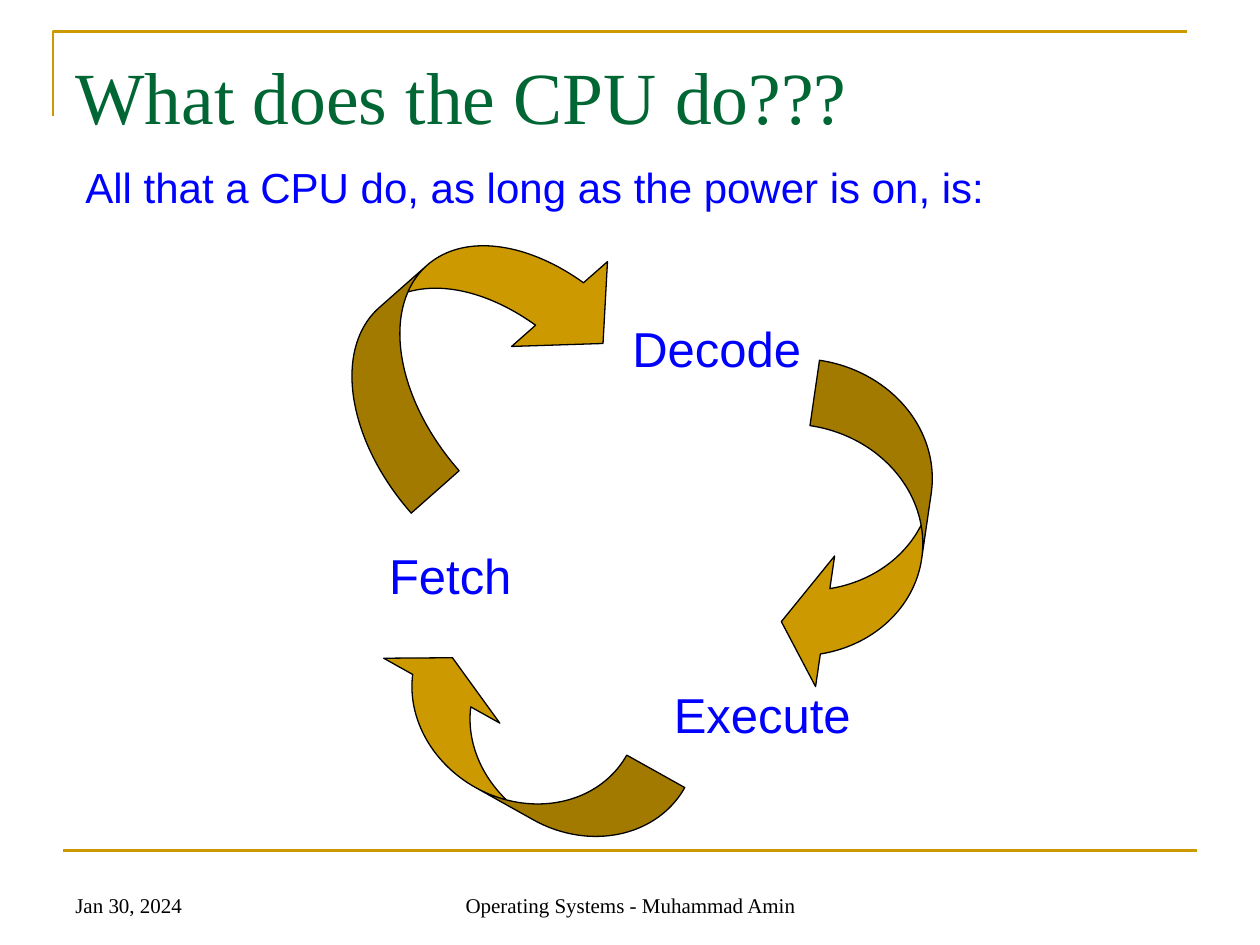
from pptx import Presentation
from pptx.dml.color import RGBColor
from pptx.enum.shapes import MSO_CONNECTOR, MSO_SHAPE
from pptx.enum.text import MSO_ANCHOR, PP_ALIGN
from pptx.oxml.ns import qn
from pptx.util import Inches, Pt
from lxml import etree

LINE = MSO_CONNECTOR.STRAIGHT
ARROW = MSO_SHAPE.CURVED_LEFT_ARROW
TOP, MIDDLE, BOTTOM = MSO_ANCHOR.TOP, MSO_ANCHOR.MIDDLE, MSO_ANCHOR.BOTTOM
LEFT, CENTER = PP_ALIGN.LEFT, PP_ALIGN.CENTER
COLORS = {"gold": "CC9900", "green": "006633", "blue": "0000FF", "black": "000000"}
SERIF, SANS = "Times New Roman", "Arial"


def color(name):
    return RGBColor.from_string(COLORS[name])


def add_text(slide, box, text, size, font, ink, anchor=TOP, align=LEFT, wrap=True):
    frame = slide.shapes.add_textbox(*map(Inches, box)).text_frame
    frame.word_wrap = wrap
    frame.vertical_anchor = anchor
    frame.text = text
    par = frame.paragraphs[0]
    par.alignment = align
    face = par.runs[0].font
    face.name, face.size = font, Pt(size)
    face.color.rgb = color(ink)
    return par


def add_frame(slide, box):
    """Draw the corner above the title and the rule above the footer."""
    x, y, wide, high = box
    pen = slide.shapes.build_freeform(Inches(x), Inches(y + 0.67))
    pen.add_line_segments(
        [(Inches(x), Inches(y)), (Inches(x + wide), Inches(y))], close=False)
    corner = pen.convert_to_shape()
    corner.shadow.inherit = False
    corner.fill.background()
    base = Inches(y + high)
    rule = slide.shapes.add_connector(
        LINE, Inches(x + 0.08), base, Inches(x + 0.08 + wide), base)
    etree.SubElement(rule._element.spPr, qn("a:effectLst"))
    for part in (corner, rule):
        part.line.color.rgb = color("gold")
        part.line.width = Pt(1.5)


def add_header(slide, box):
    x, y, wide, high = box
    add_text(slide, box, "What does the CPU do???", 42, SERIF, "green", MIDDLE)
    intro = add_text(slide, (x + 0.08, y + 1.15, 8.04, 0.9),
                     "All that a CPU do, as long as the power is on, is:",
                     24, SANS, "blue")
    intro.line_spacing = 0.9
    intro.space_before = Pt(15)


def add_arrow(slide, box, turn):
    _, _, wide, high = box
    arrow = slide.shapes.add_shape(ARROW, *map(Inches, box))
    arrow.shadow.inherit = False
    arrow.rotation = turn
    band = high / 5 / wide
    for i, value in enumerate((band, 2 * band, 1 / 3)):
        arrow.adjustments[i] = value
    arrow.fill.solid()
    arrow.fill.fore_color.rgb = color("gold")
    arrow.line.color.rgb = color("black")
    arrow.line.width = Pt(0.75)


def add_cycle(slide, box):
    """Draw the three arrows and steps, placed from the box's corner."""
    x, y, _, _ = box
    arrows = [
        ((0.27, -0.5, 1.39, 2.54), 228.5),
        ((3.52, 0.98, 1.03, 2.62), 8.3),
        ((0.89, 2.7, 0.81, 2.64), 119.2),
    ]
    steps = [
        ("Fetch", 0.2, 2.34, 1.17),
        ("Execute", 2.46, 3.44, 1.6),
        ("Decode", 2.13, 0.54, 1.54),
    ]
    for (dx, dy, wide, high), turn in arrows:
        add_arrow(slide, (x + dx, y + dy, wide, high), turn)
    for name, dx, dy, wide in steps:
        add_text(slide, (x + dx, y + dy, wide, 0.57), name, 28, SANS, "blue",
                 wrap=False)


def add_footer(slide, box):
    x, y, _, high = box
    add_text(slide, (x, y, 2.33, high), "Jan 30, 2024", 12, SERIF, "black", BOTTOM)
    add_text(slide, (x + 2.92, y, 3.17, high), "Operating Systems - Muhammad Amin",
             12, SERIF, "black", BOTTOM, CENTER)


def main():
    deck = Presentation()
    deck.slide_width, deck.slide_height = Inches(10), Inches(7.5)
    slide = deck.slides.add_slide(deck.slide_layouts[6])
    add_frame(slide, (0.42, 0.25, 9, 6.5))
    add_footer(slide, (0.5, 6.83, 9, 0.5))
    add_header(slide, (0.5, 0.13, 9, 1.25))
    add_cycle(slide, (2.79, 1.94, 4.61, 4.7))
    deck.save("out.pptx")


if __name__ == "__main__":
    main()
